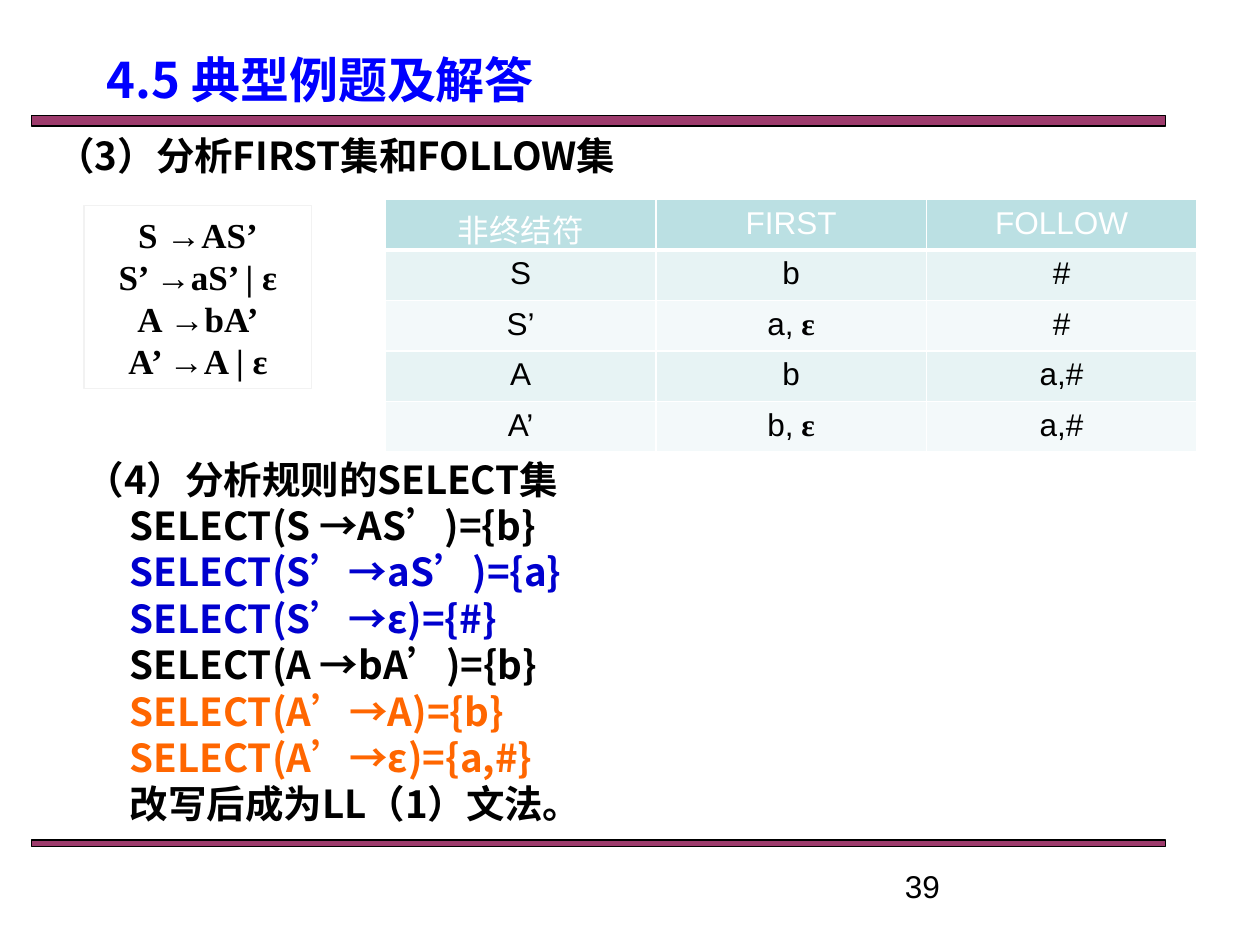
import lxml.etree
import pptx
import pptx.dml.color
import pptx.enum.shapes
import pptx.enum.text
import pptx.oxml.ns
import pptx.util

COLORS = {"black": "000000", "white": "FFFFFF", "title": "0000FF", "blue": "0000CE",
          "orange": "FF6600", "bar": "993366", "frame": "F2F2F2",
          "header": "BBE0E3", "odd": "E7F3F4", "even": "F3F9FA"}
RGB = {name: pptx.dml.color.RGBColor.from_string(value) for name, value in COLORS.items()}
CJK, SERIF, SANS = "Noto Sans CJK SC", "Times New Roman", "Arial"
CENTER = pptx.enum.text.PP_ALIGN.CENTER
LEFT = pptx.enum.text.PP_ALIGN.LEFT
RECTANGLE = pptx.enum.shapes.MSO_SHAPE.RECTANGLE
qn = pptx.oxml.ns.qn

deck = pptx.Presentation()
deck.slide_width, deck.slide_height = pptx.util.Inches(10), pptx.util.Inches(7.5)
page = deck.slides.add_slide(deck.slide_layouts[5])
UNIT = deck.slide_width / 120  # grid of 120 columns by 90 rows


def grid(*cells):
    return [pptx.util.Emu(round(cell * UNIT)) for cell in cells]


def style(font, name, size, color, bold=False):
    font.size, font.bold = pptx.util.Pt(size), bold
    font.color.rgb = RGB[color]
    font.name = name
    if name == CJK:
        lxml.etree.SubElement(font._rPr, qn("a:ea"), typeface=name)


# Bars above and below the content
for top, height in ((11, 1), (80, 0.6)):
    bar = page.shapes.add_shape(RECTANGLE, *grid(3, top, 108, height))
    bar.shadow.inherit = False
    bar.fill.solid()
    bar.fill.fore_color.rgb = RGB["bar"]
    bar_color = bar.fill._xPr.find(".//" + qn("a:srgbClr"))
    lxml.etree.SubElement(bar_color, qn("a:alpha"), val="96000")
    bar.line.color.rgb = RGB["black"]
    bar.line.width = pptx.util.Pt(0.75)

# Title
title = page.shapes.title
title.left, title.top, title.width, title.height = grid(-8, 4, 77, 7)
title.text_frame.auto_size = pptx.enum.text.MSO_AUTO_SIZE.NONE
title.text_frame.vertical_anchor = pptx.enum.text.MSO_ANCHOR.MIDDLE
title.text_frame.text = "4.5 典型例题及解答"
title.text_frame.paragraphs[0].alignment = CENTER
style(title.text_frame.paragraphs[0].font, CJK, 28, "title", True)

# Grammar frame
frame = page.shapes.add_shape(RECTANGLE, *grid(8, 19.6, 21.7, 17.4))
frame.shadow.inherit = False
frame.fill.background()
frame.line.color.rgb = RGB["frame"]
frame.line.width = pptx.util.Pt(0.75)

# Text blocks: box, font, size, bold, alignment, line height, (text, color, indent) lines
select_lines = [("（4）分析规则的SELECT集", "black", 0)] + [
    (text, color, 4.2) for text, color in (
        ("SELECT(S →AS’)={b}", "black"),
        ("SELECT(S’→aS’)={a}", "blue"),
        ("SELECT(S’→ε)={#}", "blue"),
        ("SELECT(A →bA’)={b}", "black"),
        ("SELECT(A’→A)={b}", "orange"),
        ("SELECT(A’→ε)={a,#}", "orange"),
        ("改写后成为LL（1）文法。", "black"))]
grammar_lines = [(rule, "black", 0)
                 for rule in ("S →AS’", "S’ →aS’ | ε", "A →bA’", "A’ →A | ε")]
blocks = [
    (page.shapes.add_textbox(*grid(-16, 12, 96, 5.6)), CJK, 22, True, CENTER, 26.5,
     [("（3）分析FIRST集和FOLLOW集", "black", 0)]),
    (frame, SERIF, 20, True, CENTER, None, grammar_lines),
    (page.shapes.add_textbox(*grid(7, 42.8, 91, 36.7)), CJK, 22, True, LEFT, 26.5,
     select_lines),
    (page.shapes.add_textbox(*grid(85, 82, 28, 3.2)), SANS, 18, False, LEFT, None,
     [("39", "black", 0)]),
]
for box, font_name, size, bold, alignment, line_height, lines in blocks:
    box.text_frame.word_wrap = True
    box.text_frame.text = "\n".join(text for text, color, indent in lines)
    for para, (text, color, indent) in zip(box.text_frame.paragraphs, lines):
        para.alignment = alignment
        if line_height:
            para.line_spacing = pptx.util.Pt(line_height)
        if indent:
            para._p.get_or_add_pPr().set("marL", str(grid(indent)[0]))
        style(para.font, font_name, size, color, bold)

# FIRST and FOLLOW table
rows = [("非终结符", "FIRST", "FOLLOW"),
        ("S", "b", "#"),
        ("S’", "a, ε", "#"),
        ("A", "b", "a,#"),
        ("A’", "b, ε", "a,#")]
table = page.shapes.add_table(len(rows), 3, *grid(36.7, 19, 77.3, 24)).table
for row_number, row in enumerate(rows):
    is_header = row_number == 0
    fill = "header" if is_header else ("even", "odd")[row_number % 2]
    for column_number, text in enumerate(row):
        cell = table.cell(row_number, column_number)
        properties = cell._tc.get_or_add_tcPr()
        for side in "LRTB":
            thick = (is_header and side == "B") or (row_number == 1 and side == "T")
            border = lxml.etree.SubElement(properties, qn("a:ln" + side),
                                           w=str(pptx.util.Pt(3 if thick else 1)))
            border_fill = lxml.etree.SubElement(border, qn("a:solidFill"))
            lxml.etree.SubElement(border_fill, qn("a:srgbClr"), val=COLORS["white"])
        cell.fill.solid()
        cell.fill.fore_color.rgb = RGB[fill]
        para = cell.text_frame.paragraphs[0]
        para.alignment = CENTER
        # The empty-word symbol is set in bold serif
        plain, space, symbol = text.partition(" ")
        for part, font_name, bold in ((plain, SANS, False), (space + symbol, SERIF, True)):
            if part:
                span = para.add_run()
                span.text = part
                style(span.font, font_name, 18, "white" if is_header else "black", bold)

deck.save("out.pptx")
